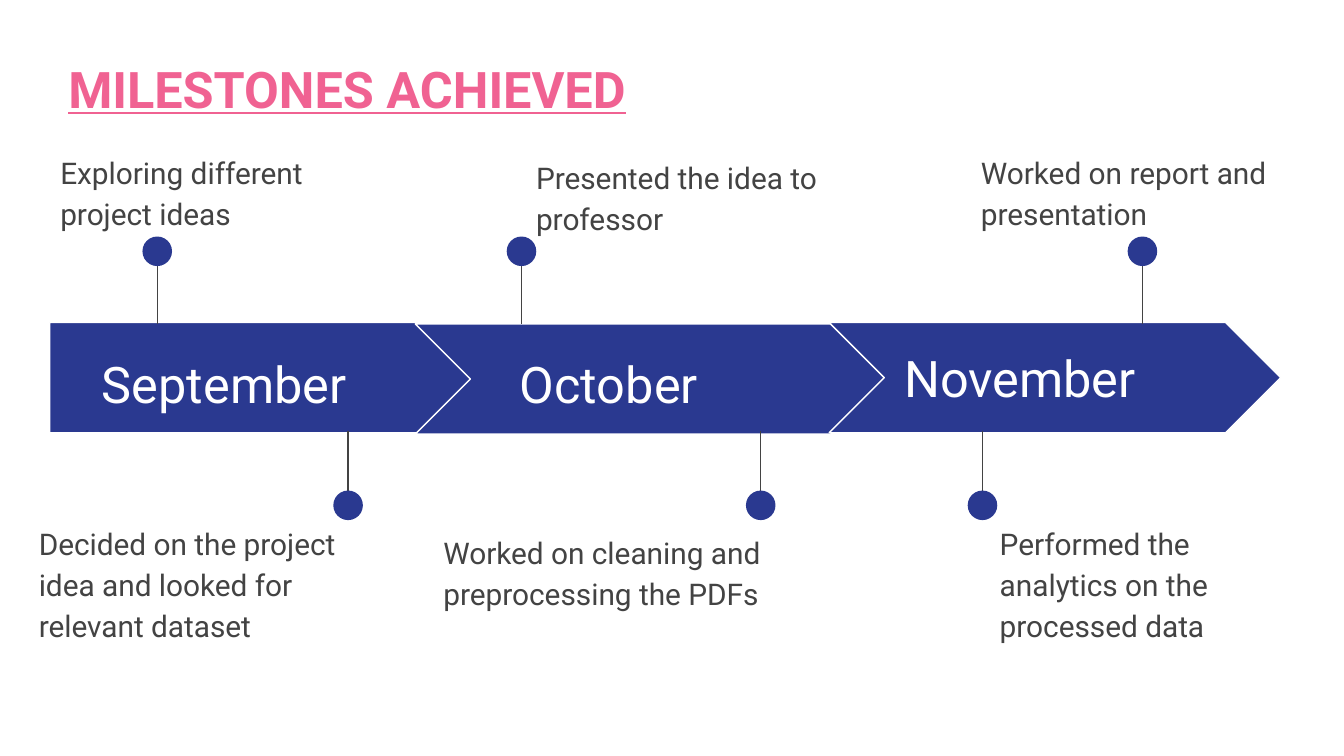
from dataclasses import dataclass

from lxml.etree import SubElement
from pptx import Presentation
from pptx.dml.color import RGBColor
from pptx.enum.shapes import MSO_CONNECTOR, MSO_SHAPE
from pptx.enum.text import MSO_ANCHOR
from pptx.oxml.ns import qn
from pptx.slide import Slide
from pptx.text.text import Font
from pptx.util import Inches, Pt

HUES = {"navy": "2A3990", "white": "FFFFFF", "grey": "434343", "pink": "F06292"}
DOT = 0.22


@dataclass
class Month:
    name: str
    kind: MSO_SHAPE
    left: float
    top: float
    width: float
    text_x: float
    text_y: float


@dataclass
class Event:
    text: str
    pin: float
    above: bool
    left: float
    top: float
    width: float
    height: float


MONTHS = [
    Month("September", MSO_SHAPE.PENTAGON, 0.37, 2.4, 3.5, 0.66, 2.53),
    Month("October", MSO_SHAPE.CHEVRON, 3.09, 2.41, 3.5, 3.77, 2.53),
    Month("November", MSO_SHAPE.CHEVRON, 6.17, 2.4, 3.36, 6.63, 2.48),
]
EVENTS = [
    Event("Exploring different project ideas", 1.17, True, 0.35, 1.01, 2.45, 0.41),
    Event("Decided on the project idea and looked for relevant dataset",
          2.59, False, 0.19, 3.77, 2.45, 0.99),
    Event("Presented the idea to professor", 3.88, True, 3.89, 1.05, 2.74, 0.75),
    Event("Worked on cleaning and preprocessing the PDFs",
          5.66, False, 3.2, 3.84, 2.62, 0.78),
    Event("Performed the analytics on the processed data",
          7.31, False, 7.34, 3.77, 2.45, 0.99),
    Event("Worked on report and presentation", 8.5, True, 7.2, 1.01, 2.45, 0.99),
]


def tint(hue: str) -> RGBColor:
    """Return the named colour."""
    return RGBColor.from_string(HUES[hue])


def add_text(slide: Slide, text: str, left: float, top: float, width: float,
             height: float, size: float, hue: str, note: bool = False) -> Font:
    """Add a text box and return its font."""
    box = slide.shapes.add_textbox(
        Inches(left), Inches(top), Inches(width), Inches(height))
    frame = box.text_frame
    frame.word_wrap = True
    frame.vertical_anchor = MSO_ANCHOR.TOP
    frame.margin_left = frame.margin_right = Inches(0.1)
    frame.margin_top = frame.margin_bottom = Inches(0.1)
    para = frame.paragraphs[0]
    para.text = text
    if note:
        para.line_spacing = 1.15
        para.space_after = Pt(16)
    font = para.font
    font.name = "Roboto"
    font.size = Pt(size)
    font.color.rgb = tint(hue)
    return font


def add_month(slide: Slide, month: Month) -> None:
    """Draw one arrow of the time line."""
    arrow = slide.shapes.add_shape(
        month.kind, Inches(month.left), Inches(month.top),
        Inches(month.width), Inches(0.82))
    arrow.shadow.inherit = False
    arrow.fill.solid()
    arrow.fill.fore_color.rgb = tint("navy")
    arrow.line.color.rgb = tint("white")
    arrow.line.width = Pt(0.75)


def add_event(slide: Slide, event: Event) -> None:
    """Draw a pin with its dot and note."""
    start, end, top = (1.8, 2.41, 1.76) if event.above else (3.82, 3.21, 3.65)
    stem = slide.shapes.add_connector(
        MSO_CONNECTOR.STRAIGHT, Inches(event.pin), Inches(start),
        Inches(event.pin), Inches(end))
    stem.line.color.rgb = tint("grey")
    stem.line.width = Pt(0.75)
    SubElement(stem.element.find(qn("p:spPr")), qn("a:effectLst"))
    dot = slide.shapes.add_shape(
        MSO_SHAPE.OVAL, Inches(event.pin - DOT / 2), Inches(top),
        Inches(DOT), Inches(DOT))
    dot.shadow.inherit = False
    dot.fill.solid()
    dot.fill.fore_color.rgb = tint("navy")
    dot.line.fill.background()
    add_text(slide, event.text, event.left, event.top, event.width,
             event.height, 16, "grey", note=True)


def main() -> None:
    """Build the milestones slide."""
    deck = Presentation()
    deck.slide_width = Inches(10)
    deck.slide_height = Inches(10 * 9 / 16)
    slide = deck.slides.add_slide(deck.slide_layouts[6])
    for month in MONTHS:
        add_month(slide, month)
    for event in EVENTS:
        add_event(slide, event)
    for month in MONTHS:
        add_text(slide, month.name, month.text_x, month.text_y, 2.45, 0.66, 27, "white")
    title = add_text(slide, "MILESTONES ACHIEVED", 0.41, 0.33, 5.67, 0.66, 27, "pink")
    title.bold = title.underline = True
    deck.save("out.pptx")


if __name__ == "__main__":
    main()
